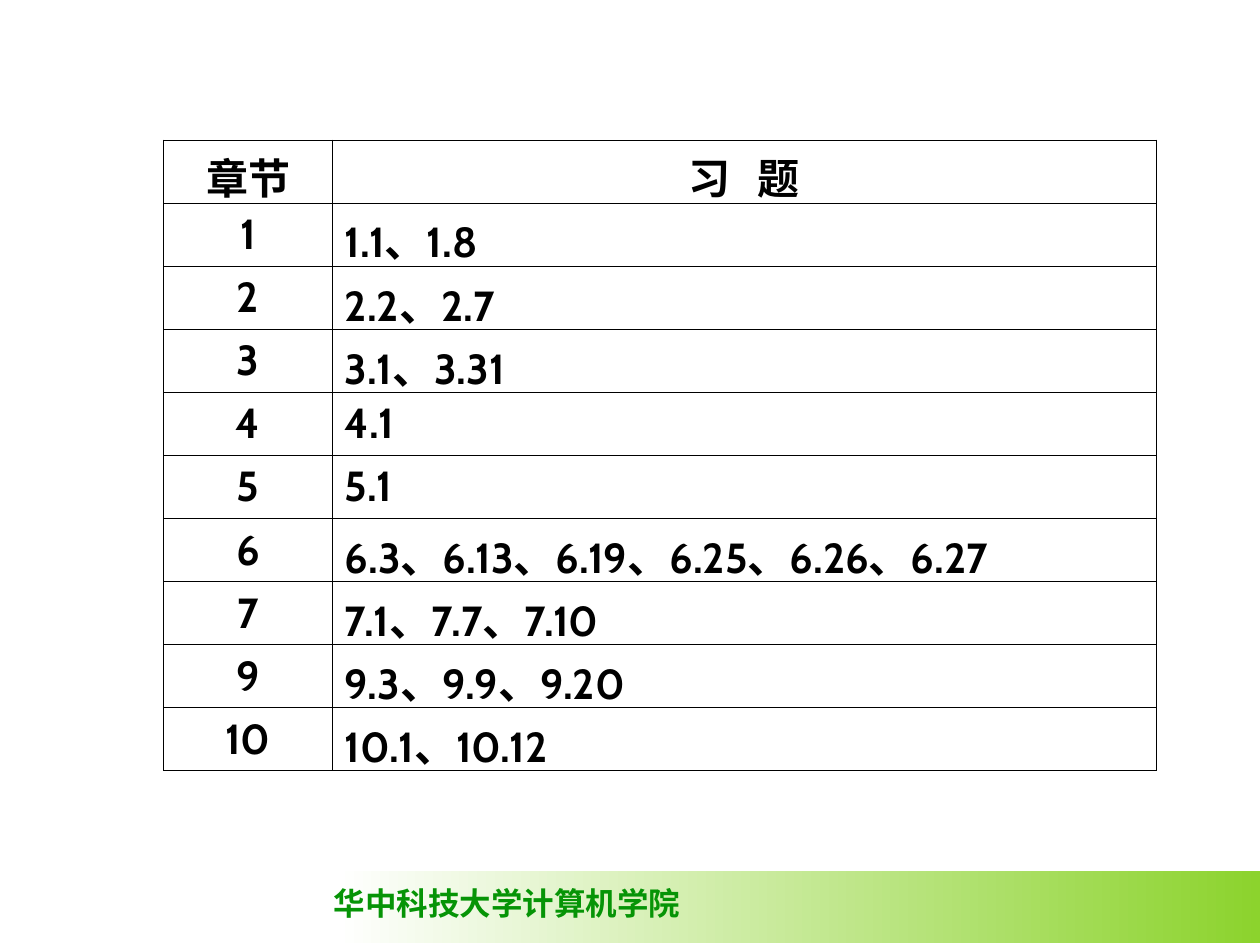
"""Build the slide that lists the exercises for each chapter."""
from dataclasses import dataclass

from lxml.etree import SubElement as Sub
from pptx import Presentation
from pptx.dml.color import RGBColor as Rgb
from pptx.enum.shapes import MSO_SHAPE as Kind
from pptx.enum.text import MSO_AUTO_SIZE as Fit, PP_ALIGN as Align
from pptx.oxml.ns import qn
from pptx.util import Cm, Pt

HEAD = ("章节", "习 题")
TASKS = [
    ("1", "1.1、1.8"),
    ("2", "2.2、2.7"),
    ("3", "3.1、3.31"),
    ("4", "4.1"),
    ("5", "5.1"),
    ("6", "6.3、6.13、6.19、6.25、6.26、6.27"),
    ("7", "7.1、7.7、7.10"),
    ("9", "9.3、9.9、9.20"),
    ("10", "10.1、10.12"),
]
SCHOOL = "华中科技大学计算机学院"


@dataclass(frozen=True)
class Theme:
    ink: str = "000000"
    green: str = "069406"
    pale: str = "FFFFFF"
    lime: str = "8CD32D"
    font: str = "Cabin"
    foot: str = "Times New Roman"
    east: str = "Noto Sans CJK SC"
    cell: float = 24
    note: float = 18
    rule: float = 0.45
    gap: int = 1000


LOOK = Theme()
WIDTHS = (3.4, 16.61)
ROW = 1.27


def add_run(para, text, size, face, tint):
    run = para.add_run()
    run.text = text
    font = run.font
    font.size, font.bold, font.name = Pt(size), True, face
    font.color.rgb = Rgb.from_string(tint)
    Sub(run._r.rPr, qn("a:ea"), typeface=LOOK.east)
    return run


def add_lines(cell):
    props = cell._tc.get_or_add_tcPr()
    for spot, side in enumerate(("lnL", "lnR", "lnT", "lnB")):
        line = Sub(props, qn(f"a:{side}"), w=str(Pt(LOOK.rule)))
        props.insert(spot, line)
        fill = Sub(line, qn("a:solidFill"))
        Sub(fill, qn("a:srgbClr"), val=LOOK.ink)


def add_band(slide):
    band = slide.shapes.add_shape(
        Kind.RECTANGLE, Cm(6.78), Cm(17.55), Cm(18.62), Cm(1.47))
    band.shadow.inherit = False
    band.line.fill.background()
    band.fill.gradient()
    band.fill.gradient_angle = 0
    for stop, tint, spot in zip(
            band.fill.gradient_stops, (LOOK.pale, LOOK.lime), (0, 1)):
        stop.color.rgb = Rgb.from_string(tint)
        stop.position = spot


def add_school(slide):
    box = slide.shapes.add_textbox(Cm(6.48), Cm(17.7), Cm(7.49), Cm(1.02))
    frame = box.text_frame
    frame.word_wrap = False
    frame.auto_size = Fit.SHAPE_TO_FIT_TEXT
    add_run(frame.paragraphs[0], SCHOOL, LOOK.note, LOOK.foot, LOOK.green)


def add_grid(slide):
    rows = [HEAD, *TASKS]
    grid = slide.shapes.add_table(
        len(rows), len(WIDTHS), Cm(3.3), Cm(2.82),
        Cm(sum(WIDTHS)), Cm(ROW * len(rows))).table
    grid.first_row = grid.horz_banding = False
    for col, width in zip(grid.columns, WIDTHS):
        col.width = Cm(width)
    for top, texts in enumerate(rows):
        grid.rows[top].height = Cm(ROW)
        for left, text in enumerate(texts):
            cell = grid.cell(top, left)
            cell.fill.background()
            add_lines(cell)
            para = cell.text_frame.paragraphs[0]
            mid = top == 0 or left == 0
            para.alignment = Align.CENTER if mid else Align.LEFT
            for part in text.partition(" "):
                if part:
                    run = add_run(para, part, LOOK.cell, LOOK.font, LOOK.ink)
                    if part == " ":
                        run._r.rPr.set("spc", str(LOOK.gap))


def main():
    deck = Presentation()
    deck.slide_width, deck.slide_height = Cm(25.4), Cm(19.05)
    slide = deck.slides.add_slide(deck.slide_layouts[6])
    add_band(slide)
    add_school(slide)
    add_grid(slide)
    deck.save("out.pptx")


if __name__ == "__main__":
    main()
